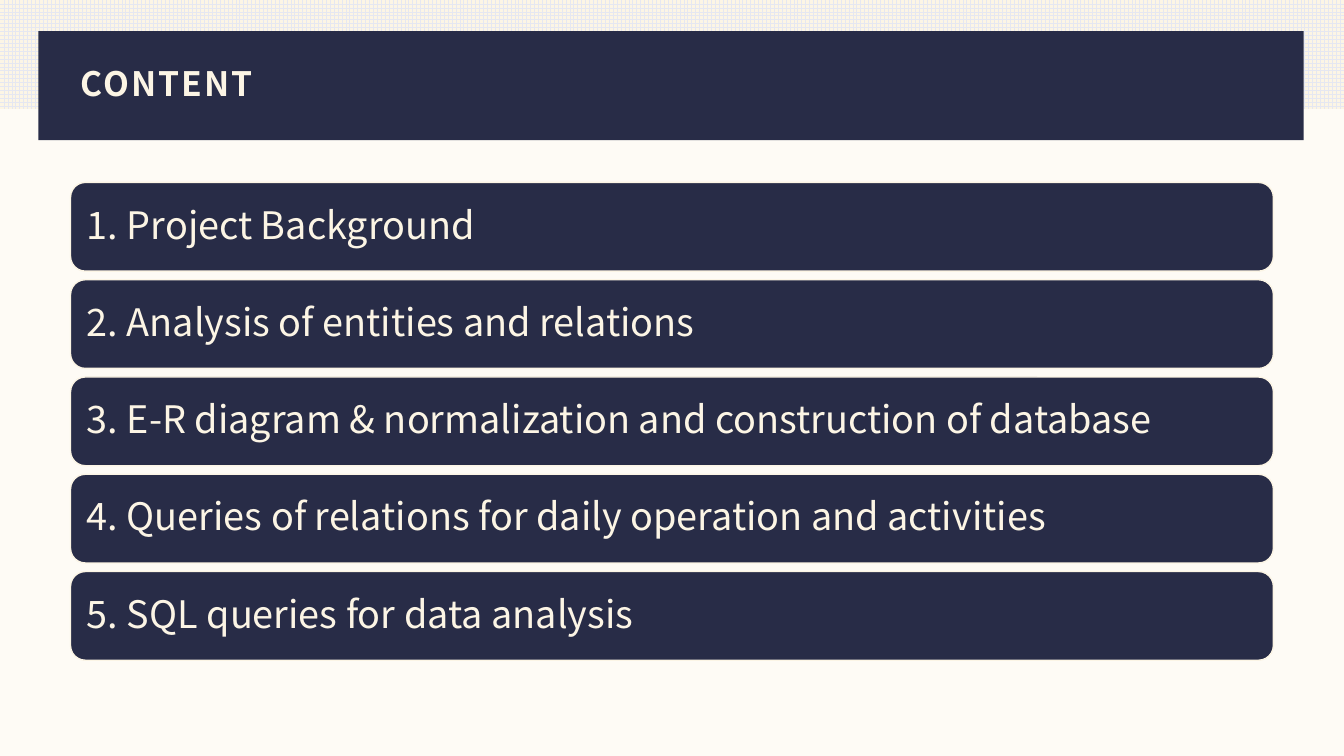
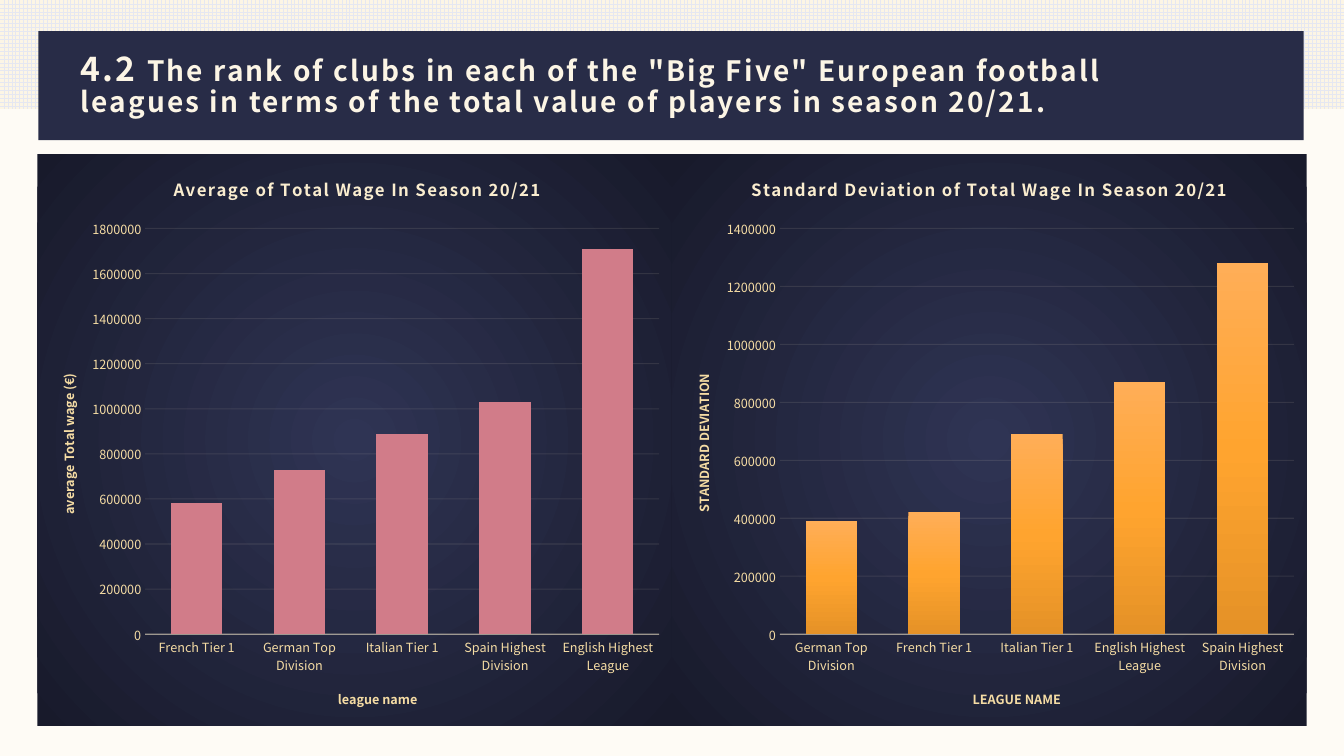
from lxml import etree
from pptx import Presentation
from pptx.chart.data import CategoryChartData
from pptx.dml.color import RGBColor
from pptx.enum.chart import XL_CHART_TYPE, XL_TICK_MARK
from pptx.enum.dml import MSO_PATTERN
from pptx.enum.shapes import MSO_SHAPE
from pptx.enum.text import MSO_ANCHOR, MSO_AUTO_SIZE, PP_ALIGN
from pptx.oxml import parse_xml
from pptx.oxml.ns import nsdecls, qn
from pptx.util import Inches, Pt

COLUMNS = XL_CHART_TYPE.COLUMN_CLUSTERED
NO_TICKS = XL_TICK_MARK.NONE
LARGE_GRID = MSO_PATTERN.LARGE_GRID
RECT, ROUNDED = MSO_SHAPE.RECTANGLE, MSO_SHAPE.ROUNDED_RECTANGLE
MIDDLE, LEFT = MSO_ANCHOR.MIDDLE, PP_ALIGN.LEFT
NO_AUTOFIT = MSO_AUTO_SIZE.NONE

CREAM = RGBColor(0xFC, 0xF5, 0xE5)
PAPER = RGBColor(0xFE, 0xFB, 0xF5)
GRID_BLUE = RGBColor(0xE5, 0xE7, 0xF1)
NAVY = RGBColor(0x28, 0x2C, 0x47)
PANEL_CENTRE = RGBColor(0x2F, 0x34, 0x54)
PANEL_EDGE = RGBColor(0x18, 0x1A, 0x2B)
SAND = RGBColor(0xFA, 0xED, 0xCF)
GOLD = RGBColor(0xF5, 0xDC, 0xA4)
ROSE = RGBColor(0xD1, 0x7C, 0x89)
ORANGE_TOP = RGBColor(0xFF, 0xAE, 0x57)
ORANGE = RGBColor(0xFF, 0xA4, 0x2F)
ORANGE_BOTTOM = RGBColor(0xE5, 0x92, 0x27)

HEADING_FONT = "Noto Sans CJK SC"
BODY_FONT = "Noto Sans CJK JP"

SLIDE_WIDTH, SLIDE_HEIGHT = 13.33, 7.5
TITLE_BOX = (0.7, 0.53, 11.93, 0.64)
AGENDA_BOX = (0.7, 1.81, 11.93, 4.74)
CHARTS_BOX = (0.37, 1.53, 12.59, 5.67)

DOWNWARD = '<a:lin ang="5400000" scaled="0"/>'
FROM_CENTRE = ('<a:path path="circle"><a:fillToRect l="50000" t="50000" '
               'r="50000" b="50000"/></a:path>')

AGENDA = [
    "1. Project Background",
    "2. Analysis of entities and relations",
    "3. E-R diagram & normalization and construction of database",
    "4. Queries of relations for daily operation and activities",
    "5. SQL queries for data analysis",
]
FRENCH, GERMAN, ITALIAN = "French Tier 1", "German Top Division", "Italian Tier 1"
SPANISH, ENGLISH = "Spain Highest Division", "English Highest League"
WAGE_CHARTS = [
    dict(
        title="Average of Total Wage In Season 20/21", title_x=0.21,
        category_title="league name", value_title="average Total wage (€)",
        wages={FRENCH: 580000, GERMAN: 730000, ITALIAN: 890000,
               SPANISH: 1030000, ENGLISH: 1710000},
        maximum=1800000, bar_colors=[ROSE],
    ),
    dict(
        title="Standard Deviation of Total Wage In Season 20/21", title_x=0.12,
        category_title="LEAGUE NAME", value_title="STANDARD DEVIATION",
        wages={GERMAN: 390000, FRENCH: 420000, ITALIAN: 690000,
               ENGLISH: 870000, SPANISH: 1280000},
        maximum=1400000, bar_colors=[ORANGE_TOP, ORANGE, ORANGE_BOTTOM],
    ),
]


def style_font(font, name, size, color, bold=False, spacing=0):
    font.name, font.size, font.bold = name, Pt(size), bold
    font.color.rgb = color
    if spacing:
        font._rPr.set("spc", str(int(spacing * 100)))


def gradient(colors, direction):
    """Gradient fill with evenly spaced stops."""
    step = 100000 // (len(colors) - 1)
    stops = "".join(f'<a:gs pos="{i * step}"><a:srgbClr val="{color}"/></a:gs>'
                    for i, color in enumerate(colors))
    return parse_xml(f'<a:gradFill {nsdecls("a")} rotWithShape="1">'
                     f'<a:gsLst>{stops}</a:gsLst>{direction}</a:gradFill>')


def style_line(line, color, width, opacity):
    line.color.rgb = color
    line.width = Pt(width)
    for tint in line._get_or_add_ln().iter(qn("a:srgbClr")):
        etree.SubElement(tint, qn("a:alpha")).set("val", str(opacity * 1000))


def add_panel(slide, kind, box, color=NAVY):
    panel = slide.shapes.add_shape(kind, *map(Inches, box))
    panel.shadow.inherit = False
    panel.fill.solid()
    panel.fill.fore_color.rgb = color
    panel.line.fill.background()
    return panel


# Shared look: background, grid strip, title band
def style_layout(layout, slide):
    layout.background.fill.solid()
    layout.background.fill.fore_color.rgb = PAPER

    strip = add_panel(slide, RECT, (0, 0, SLIDE_WIDTH, 1.08))
    strip.fill.patterned()
    strip.fill.pattern = LARGE_GRID
    strip.fill.fore_color.rgb = GRID_BLUE
    strip.fill.back_color.rgb = CREAM
    band = add_panel(slide, RECT, (0.38, 0.31, 12.55, 1.08))
    for position, part in enumerate((strip, band), start=2):
        layout.shapes._spTree.insert(position, part._element)


def write_title(slide, lines):
    """Each line is a list of (text, size) pairs."""
    title = slide.shapes.title
    title.left, title.top, title.width, title.height = map(Inches, TITLE_BOX)
    frame = title.text_frame
    frame.auto_size = NO_AUTOFIT
    frame.vertical_anchor = MIDDLE
    paragraph = frame.paragraphs[0]
    paragraph.alignment = LEFT
    paragraph.line_spacing = 0.9
    style_font(paragraph.font, HEADING_FONT, 24, CREAM, True, 1.5)
    for number, line in enumerate(lines):
        if number:
            paragraph.add_line_break()
        for text, size in line:
            run = paragraph.add_run()
            run.text = text
            run.font.size = Pt(size)


# Agenda: equal cards spread over the box
def add_agenda(slide, box, items):
    left, top, width, height = box
    card_height = 0.88
    pitch = (height - card_height) / (len(items) - 1)
    for row, item in enumerate(items):
        card = add_panel(slide, ROUNDED,
                         (left, top + row * pitch, width, card_height))
        card.line.color.rgb = CREAM
        card.line.width = Pt(1)
        frame = card.text_frame
        frame.word_wrap = True
        frame.vertical_anchor = MIDDLE
        frame.margin_left = frame.margin_right = Inches(0.12)
        paragraph = frame.paragraphs[0]
        paragraph.text = item
        paragraph.alignment = LEFT
        paragraph.line_spacing = 0.9
        style_font(paragraph.font, BODY_FONT, 27, CREAM)


def place(element, index, x, y, size=None):
    """Manual layout of a chart part, in fractions of the chart."""
    for automatic in element.findall(qn("c:layout")):
        element.remove(automatic)
    settings = [("xMode", "edge"), ("yMode", "edge"), ("x", x), ("y", y)]
    if size:
        settings = [("layoutTarget", "inner"), *settings,
                    ("w", size[0]), ("h", size[1])]
    layout = etree.Element(qn("c:layout"))
    manual = etree.SubElement(layout, qn("c:manualLayout"))
    for tag, value in settings:
        etree.SubElement(manual, qn(f"c:{tag}")).set("val", str(value))
    element.insert(index, layout)


def write_chart_title(title, text, x, y, size, color, spacing=0):
    paragraph = title.text_frame.paragraphs[0]
    paragraph.text = text
    style_font(paragraph.font, BODY_FONT, size, color, True, spacing)
    place(title._element, 1, x, y)


def add_wage_chart(slide, box, title, title_x, category_title, value_title,
                   wages, maximum, bar_colors):
    data = CategoryChartData()
    data.categories = list(wages)
    data.add_series("Series 1", list(wages.values()))
    chart = slide.shapes.add_chart(COLUMNS, *map(Inches, box), data).chart
    chart.has_legend = False
    style_font(chart.font, BODY_FONT, 10, GOLD)
    chart.has_title = True
    write_chart_title(chart.chart_title, title, title_x, 0.03, 12, SAND, 1)

    # Axes
    categories, values = chart.category_axis, chart.value_axis
    for axis, text, x, y in ((categories, category_title, 0.47, 0.93),
                             (values, value_title, 0.03, 0.38)):
        axis.major_tick_mark = axis.minor_tick_mark = NO_TICKS
        style_font(axis.tick_labels.font, BODY_FONT, 9, GOLD)
        axis.has_title = True
        write_chart_title(axis.axis_title, text, x, y, 9, GOLD)
    style_line(categories.format.line, SAND, 1, 54)
    values.format.line.fill.background()
    values.minimum_scale, values.maximum_scale = 0, maximum
    values.major_unit = 200000
    values.has_major_gridlines = True
    style_line(values.major_gridlines.format.line, SAND, 0.75, 10)

    # Bars
    plot = chart.plots[0]
    plot.vary_by_categories = False
    plot.gap_width, plot.overlap = 100, -24
    bars = plot.series[0]
    if len(bar_colors) == 1:
        bars.format.fill.solid()
        bars.format.fill.fore_color.rgb = bar_colors[0]
    else:
        bars._element.get_or_add_spPr().insert(0, gradient(bar_colors, DOWNWARD))

    # Plot area and backdrop
    chart_part = chart._chartSpace.find(qn("c:chart"))
    place(chart_part.find(qn("c:plotArea")), 0, 0.17, 0.13, (0.81, 0.71))
    backdrop = etree.Element(qn("c:spPr"))
    backdrop.append(gradient([PANEL_CENTRE, PANEL_EDGE], FROM_CENTRE))
    outline = etree.SubElement(backdrop, qn("a:ln"))
    etree.SubElement(outline, qn("a:noFill"))
    chart_part.addnext(backdrop)


def add_wage_charts(slide, box, charts):
    left, top, width, height = box
    chart_width = width / len(charts)
    for column, chart in enumerate(charts):
        add_wage_chart(slide, (left + column * chart_width, top,
                               chart_width, height), **chart)


def main():
    deck = Presentation()
    deck.slide_width = Inches(SLIDE_WIDTH)
    deck.slide_height = Inches(SLIDE_HEIGHT)
    layout = deck.slide_layouts[5]

    content = deck.slides.add_slide(layout)
    style_layout(layout, content)
    write_title(content, [[("CONTENT", 24)]])
    add_agenda(content, AGENDA_BOX, AGENDA)

    ranking = deck.slides.add_slide(layout)
    write_title(ranking, [
        [("4.2 ", 24),
         ('The rank of clubs in each of the "Big Five" European football', 20)],
        [("leagues in terms of the total value of players in season 20/21.", 20)],
    ])
    add_wage_charts(ranking, CHARTS_BOX, WAGE_CHARTS)

    deck.save("out.pptx")


if __name__ == "__main__":
    main()
